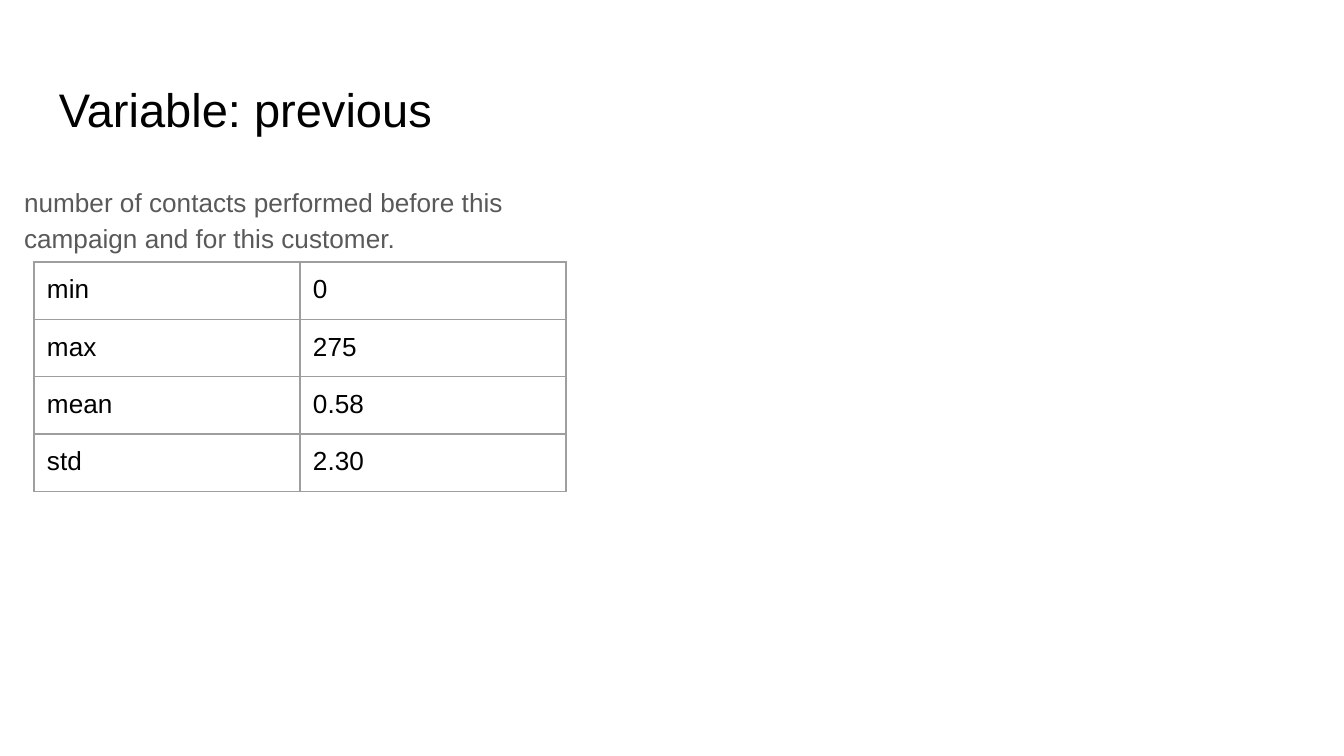
from dataclasses import dataclass

from lxml.etree import SubElement
from pptx import Presentation
from pptx.dml.color import RGBColor
from pptx.enum.text import MSO_ANCHOR as Anchor
from pptx.oxml.ns import qn
from pptx.util import Emu, Pt

EMU_PER_PX = 914400 / 134.4


def px(length):
    return Emu(round(length * EMU_PER_PX))


@dataclass(frozen=True)
class Theme:
    font: str = "Arial"
    background: str = "FFFFFF"
    ink: str = "000000"
    muted: str = "595959"
    border: str = "9E9E9E"
    title_size: float = 25.2
    body_size: float = 14
    border_width: float = 0.75
    inset: int = 13


class SlideBuilder:
    def __init__(self, slide, theme):
        self.slide = slide
        self.theme = theme
        fill = slide.background.fill
        fill.solid()
        fill.fore_color.rgb = RGBColor.from_string(theme.background)

    def set_insets(self, target):
        for side in ("left", "top", "right", "bottom"):
            setattr(target, f"margin_{side}", px(self.theme.inset))

    def set_text(self, text_frame, text, size, color):
        text_frame.text = text
        paragraph = text_frame.paragraphs[0]
        font = paragraph.runs[0].font
        font.name = self.theme.font
        font.size = Pt(size)
        font.color.rgb = RGBColor.from_string(color)
        return paragraph

    def add_text(self, box, text, size, color, anchor=Anchor.TOP):
        text_frame = self.slide.shapes.add_textbox(*map(px, box)).text_frame
        text_frame.word_wrap = True
        text_frame.vertical_anchor = anchor
        self.set_insets(text_frame)
        return self.set_text(text_frame, text, size, color)

    def add_borders(self, cell):
        properties = cell._tc.get_or_add_tcPr()
        # Borders must come before the fill in the cell properties
        for position, side in enumerate(("lnL", "lnR", "lnT", "lnB")):
            line = SubElement(properties, qn(f"a:{side}"), w=str(Pt(self.theme.border_width)))
            fill = SubElement(line, qn("a:solidFill"))
            SubElement(fill, qn("a:srgbClr"), val=self.theme.border)
            properties.insert(position, line)

    def add_table(self, left, top, column_width, row_height, rows):
        row_count, column_count = len(rows), len(rows[0])
        table = self.slide.shapes.add_table(
            row_count, column_count, px(left), px(top),
            px(column_width * column_count), px(row_height * row_count)).table
        table.first_row = table.horz_banding = False
        for column in table.columns:
            column.width = px(column_width)
        for row, values in zip(table.rows, rows):
            row.height = px(row_height)
            for cell, value in zip(row.cells, values):
                self.set_insets(cell)
                self.set_text(cell.text_frame, value, self.theme.body_size, self.theme.ink)
                cell.fill.background()
                self.add_borders(cell)


def main():
    presentation = Presentation()
    presentation.slide_width, presentation.slide_height = px(1344), px(756)
    theme = Theme()
    builder = SlideBuilder(
        presentation.slides.add_slide(presentation.slide_layouts[6]), theme)

    # Title
    builder.add_text((46, 66, 1253, 85), "Variable: previous",
                     theme.title_size, theme.ink, Anchor.MIDDLE)

    # Description
    description = builder.add_text(
        (11, 169, 624, 578),
        "number of contacts performed before this campaign and for this customer.",
        theme.body_size, theme.muted)
    description.line_spacing = 1.15
    description.space_after = Pt(12)

    # Summary statistics
    builder.add_table(34, 262, 266, 56, [
        ("min", "0"),
        ("max", "275"),
        ("mean", "0.58"),
        ("std", "2.30"),
    ])

    presentation.save("out.pptx")


if __name__ == "__main__":
    main()
